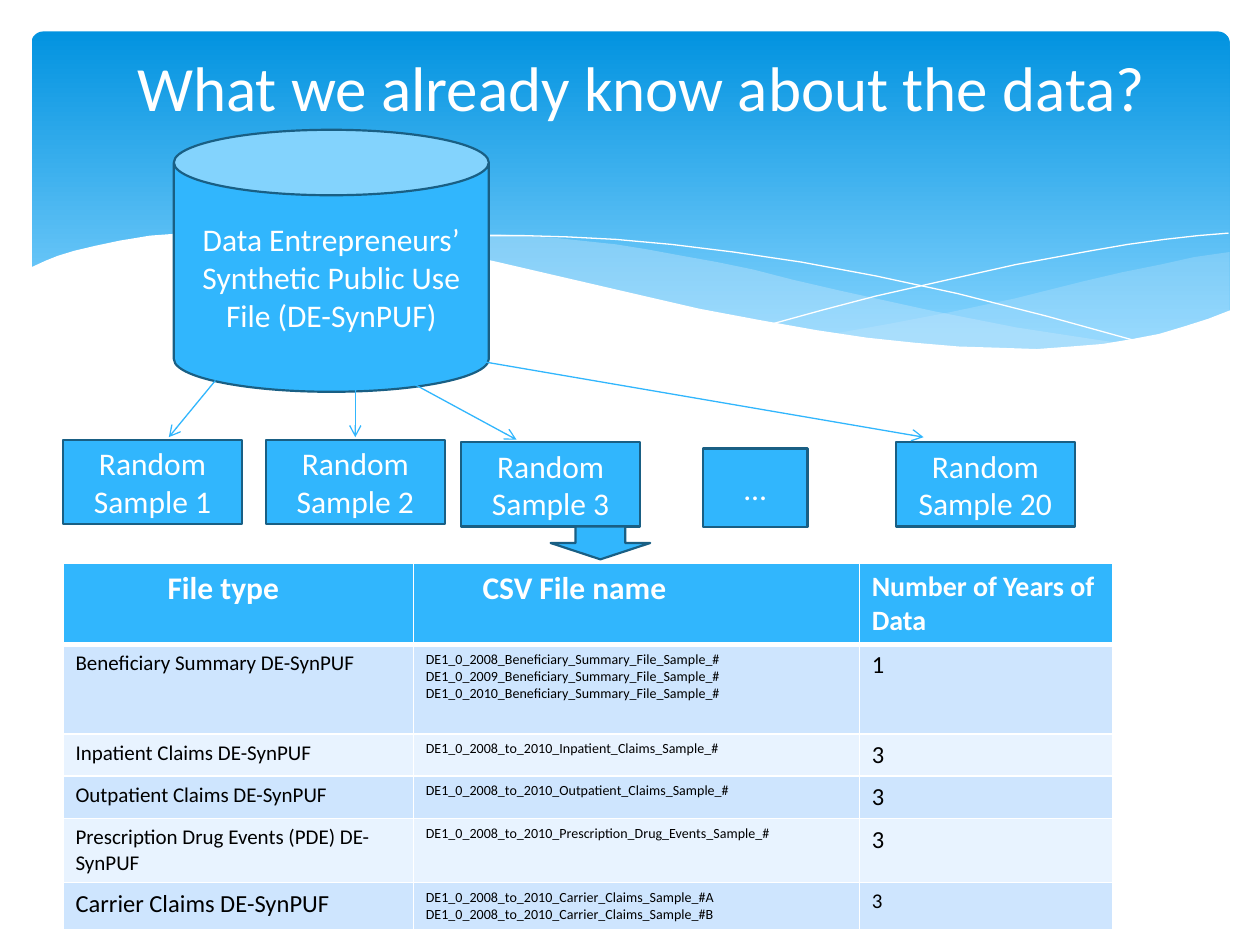
from lxml.etree import SubElement
from pptx import Presentation
from pptx.dml.color import RGBColor
from pptx.enum.shapes import MSO_CONNECTOR, MSO_SHAPE
from pptx.enum.text import MSO_ANCHOR, PP_ALIGN
from pptx.oxml.ns import qn
from pptx.util import Inches, Pt

FONT = "Calibri"
BLUE, EDGE, WHITE, BLACK, MIST = "31B6FD", "195F84", "FFFFFF", "000000", "C6E7FC"
BANDS = ("CEE5FE", "E8F3FF")

# Wave outlines, in inches from the corner of the slide
RIGHT_WAVE = [(9.76, 2), (9.48, 2.04), (9.21, 2.1), (8.91, 2.16), (8.61, 2.23), (8.05, 2.37),
              (7.53, 2.48), (7.06, 2.57), (6.61, 2.65), (6.91, 2.69), (7.19, 2.72), (7.45, 2.75),
              (7.81, 2.77), (8.14, 2.78), (8.44, 2.77), (8.72, 2.74), (8.97, 2.7), (9.21, 2.65),
              (9.42, 2.59), (9.63, 2.52), (9.76, 2.47)]
MIDDLE_WAVE = [(8.93, 2.73), (8.66, 2.69), (8.07, 2.6), (7.41, 2.47), (6.68, 2.31), (6.29, 2.22),
               (5.98, 2.14), (5.69, 2.08), (5.41, 2.03), (5.14, 1.98), (4.89, 1.94), (4.42, 1.89),
               (3.99, 1.86), (3.61, 1.85), (3.28, 1.87), (2.99, 1.89), (2.86, 1.91), (3.23, 1.96),
               (3.62, 2.03), (4.04, 2.11), (4.49, 2.22), (5.3, 2.4), (5.84, 2.52), (6.18, 2.58),
               (6.5, 2.64), (6.8, 2.68), (7.09, 2.72), (7.36, 2.75), (7.61, 2.77), (7.85, 2.78),
               (8.28, 2.78), (8.57, 2.77), (8.76, 2.75)]
FALLING_LINE = [(3.09, 1.95), (3.28, 1.92), (3.53, 1.89), (3.87, 1.87), (4.16, 1.87), (4.5, 1.88),
                (4.89, 1.9), (5.33, 1.94), (5.82, 2), (6.36, 2.08), (6.95, 2.19), (7.6, 2.33),
                (8.31, 2.51), (9.07, 2.72)]
RISING_LINE = [(6.13, 2.57), (6.53, 2.46), (6.95, 2.35), (7.48, 2.23), (8.06, 2.1), (8.66, 1.99),
               (8.95, 1.94), (9.24, 1.9), (9.51, 1.87), (9.75, 1.85)]
WHITE_WAVE = [(9.77, 2.46), (9.59, 2.53), (9.4, 2.59), (9.2, 2.65), (8.99, 2.69), (8.75, 2.73),
              (8.5, 2.75), (8.23, 2.77), (7.93, 2.76), (7.61, 2.75), (7.26, 2.72), (6.88, 2.68),
              (6.48, 2.62), (6.03, 2.54), (5.55, 2.45), (5.03, 2.33), (4.47, 2.2), (3.91, 2.07),
              (3.4, 1.97), (2.92, 1.9), (2.5, 1.86), (2.11, 1.84), (1.77, 1.84), (1.46, 1.85),
              (1.19, 1.87), (0.95, 1.91), (0.76, 1.95), (0.59, 1.99), (0.46, 2.03), (0.36, 2.07),
              (0.23, 2.13), (0.23, 3.29), (9.77, 3.29)]

HEADINGS = [("File type", 18, 0.83), ("CSV File name", 18, 0.55),
            ("Number of Years of Data", 16, 0.1)]
FILES = [
    ("Beneficiary Summary DE-SynPUF", 12,
     " ".join(f"DE1_0_{year}_Beneficiary_Summary_File_Sample_#" for year in (2008, 2009, 2010)),
     "1", 14),
    ("Inpatient Claims DE-SynPUF", 12, "DE1_0_2008_to_2010_Inpatient_Claims_Sample_#", "3", 14),
    ("Outpatient Claims DE-SynPUF", 12, "DE1_0_2008_to_2010_Outpatient_Claims_Sample_#", "3", 14),
    ("Prescription Drug Events (PDE) DE-SynPUF", 12,
     "DE1_0_2008_to_2010_Prescription_Drug_Events_Sample_#", "3", 14),
    ("Carrier Claims DE-SynPUF", 14,
     " ".join(f"DE1_0_2008_to_2010_Carrier_Claims_Sample_#{part}" for part in "AB"), "3", 12),
]


def color(value):
    return RGBColor.from_string(value)


def write(frame, text, size, ink=WHITE, bold=False, align=None):
    frame.text = text
    for para in frame.paragraphs:
        para.alignment = align
        for span in para.runs:
            font = span.font
            font.name, font.size, font.bold = FONT, Pt(size), bold
            font.color.rgb = color(ink)


def add_block(page, kind, box, text=""):
    block = page.shapes.add_shape(kind, *map(Inches, box))
    block.shadow.inherit = False
    block.fill.solid()
    block.fill.fore_color.rgb = color(BLUE)
    block.line.color.rgb = color(EDGE)
    block.line.width = Pt(1.25)
    if text:
        block.text_frame.word_wrap = True
        block.text_frame.vertical_anchor = MSO_ANCHOR.MIDDLE
        write(block.text_frame, text, 18, align=PP_ALIGN.CENTER)
    return block


def add_wave(page, points, fill=None, opacity=100):
    """A filled area, or an open white hairline when no fill is given."""
    start, *rest = [(Inches(x), Inches(y)) for x, y in points]
    builder = page.shapes.build_freeform(*start)
    builder.add_line_segments(rest, close=fill is not None)
    wave = builder.convert_to_shape()
    wave.shadow.inherit = False
    if fill is None:
        wave.fill.background()
        wave.line.color.rgb = color(WHITE)
        wave.line.width = Pt(0)
        return
    wave.fill.solid()
    wave.fill.fore_color.rgb = color(fill)
    wave.line.fill.background()
    if opacity < 100:
        tint = wave.element.spPr.find(".//" + qn("a:srgbClr"))
        SubElement(tint, qn("a:alpha"), val=str(opacity * 1000))


def add_backdrop(page, box):
    panel = add_block(page, MSO_SHAPE.ROUNDED_RECTANGLE, box)
    panel.adjustments[0] = 0.034
    panel.line.fill.background()
    panel.fill.gradient()
    panel.fill.gradient_angle = 270
    for stop, (position, tone) in zip(panel.fill.gradient_stops, [(0, "0293E0"), (0.9, "83D3FE")]):
        stop.position = position
        stop.color.rgb = color(tone)
    add_wave(page, RIGHT_WAVE, MIST, 29)
    add_wave(page, MIDDLE_WAVE, MIST, 40)
    add_wave(page, FALLING_LINE)
    add_wave(page, RISING_LINE)
    add_wave(page, WHITE_WAVE, WHITE)


def add_title(page, box, text):
    title = page.shapes.title
    title.element.getparent().append(title.element)  # in front of the backdrop
    title.left, title.top, title.width, title.height = map(Inches, box)
    title.text_frame.vertical_anchor = MSO_ANCHOR.MIDDLE
    write(title.text_frame, text, 36, align=PP_ALIGN.CENTER)


def add_arrow(page, start, end):
    arrow = page.shapes.add_connector(MSO_CONNECTOR.STRAIGHT, *map(Inches, start + end))
    arrow.line.color.rgb = color(BLUE)
    arrow.line.width = Pt(0.75)
    SubElement(arrow.line._get_or_add_ln(), qn("a:tailEnd"), type="arrow")
    SubElement(arrow.element.spPr, qn("a:effectLst"))


def add_samples(page, box):
    """The data store on top, its samples in a row below, linked by arrows."""
    left, top, width, height = box
    add_block(page, MSO_SHAPE.CAN, (left + 0.88, top, 2.5, 2.08),
              "Data Entrepreneurs’ Synthetic Public Use File (DE-SynPUF)")
    wide, tall = 1.42, 0.67
    bottom = top + height - tall
    samples = [(1, 0, bottom - 0.02), (2, 1.61, bottom - 0.02), (3, 3.16, bottom),
               (20, width - wide, bottom)]
    for number, shift, y in samples:
        add_block(page, MSO_SHAPE.RECTANGLE, (left + shift, y, wide, tall),
                  f"Random Sample {number}")
    add_block(page, MSO_SHAPE.RECTANGLE, (left + 5.08, bottom + 0.05, 0.83, 0.62), "…")
    links = [((1.21, 1.99), (0.84, 2.44)), ((2.32, 1.99), (2.32, 2.44)),
             ((2.77, 2.01), (3.6, 2.46)), ((3.33, 1.84), (6.83, 2.44))]
    for ends in links:
        start, end = [(left + x, top + y) for x, y in ends]
        add_arrow(page, start, end)
    add_block(page, MSO_SHAPE.DOWN_ARROW, (left + 3.87, top + height, 0.79, 0.26))


def fill_cell(cell, text, size, fill, ink=BLACK, bold=False, bottom=1):
    write(cell.text_frame, text, size, ink, bold)
    properties = cell._tc.get_or_add_tcPr()
    for side, weight in (("L", 1), ("R", 1), ("T", 1), ("B", bottom)):
        border = SubElement(properties, qn(f"a:ln{side}"), w=str(Pt(weight)))
        SubElement(SubElement(border, qn("a:solidFill")), qn("a:srgbClr"), val=WHITE)
    cell.fill.solid()
    cell.fill.fore_color.rgb = color(fill)


def add_file_table(page, box):
    table = page.shapes.add_table(len(FILES) + 1, len(HEADINGS), *map(Inches, box)).table
    for column, width in zip(table.columns, (2.78, 3.54, 2.01)):
        column.width = Inches(width)
    for index, row in enumerate(table.rows):
        row.height = Inches(0.71 if index == 1 else 0.28)
    for cell, (text, size, indent) in zip(table.rows[0].cells, HEADINGS):
        fill_cell(cell, text, size, BLUE, WHITE, True, 3)
        cell.margin_left = Inches(indent)
    for index, (kind, kind_size, names, years, years_size) in enumerate(FILES):
        parts = ((kind, kind_size), (names, 8), (years, years_size))
        for cell, (text, size) in zip(table.rows[index + 1].cells, parts):
            fill_cell(cell, text, size, BANDS[index % 2])


def main():
    deck = Presentation()
    deck.slide_width, deck.slide_height = Inches(10), Inches(7.5)
    page = deck.slides.add_slide(deck.slide_layouts[5])
    add_backdrop(page, (0.25, 0.25, 9.51, 2.7))
    add_title(page, (0.59, 0, 9, 1.37), "What we already know about the data?")
    add_samples(page, (0.5, 1.03, 8.03, 3.15))
    add_file_table(page, (0.5, 4.47, 8.33, 2.87))
    deck.save("out.pptx")


if __name__ == "__main__":
    main()
